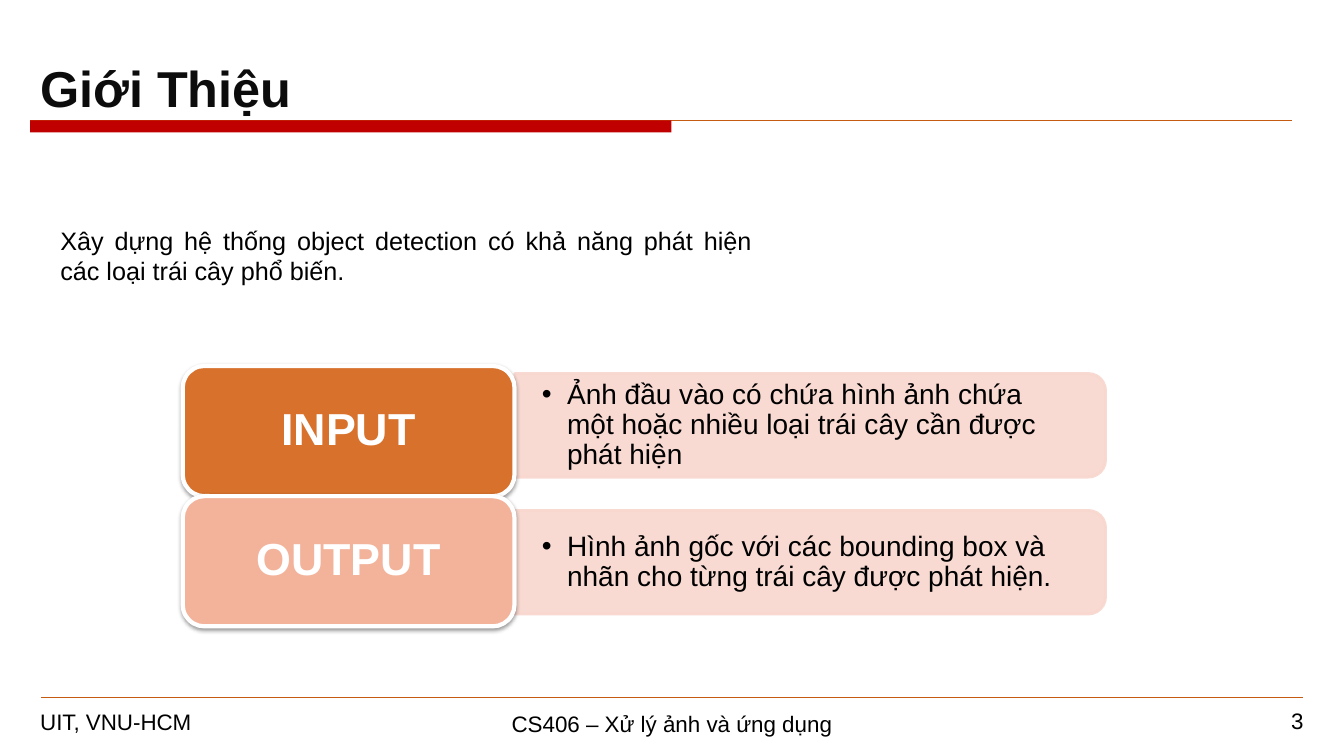
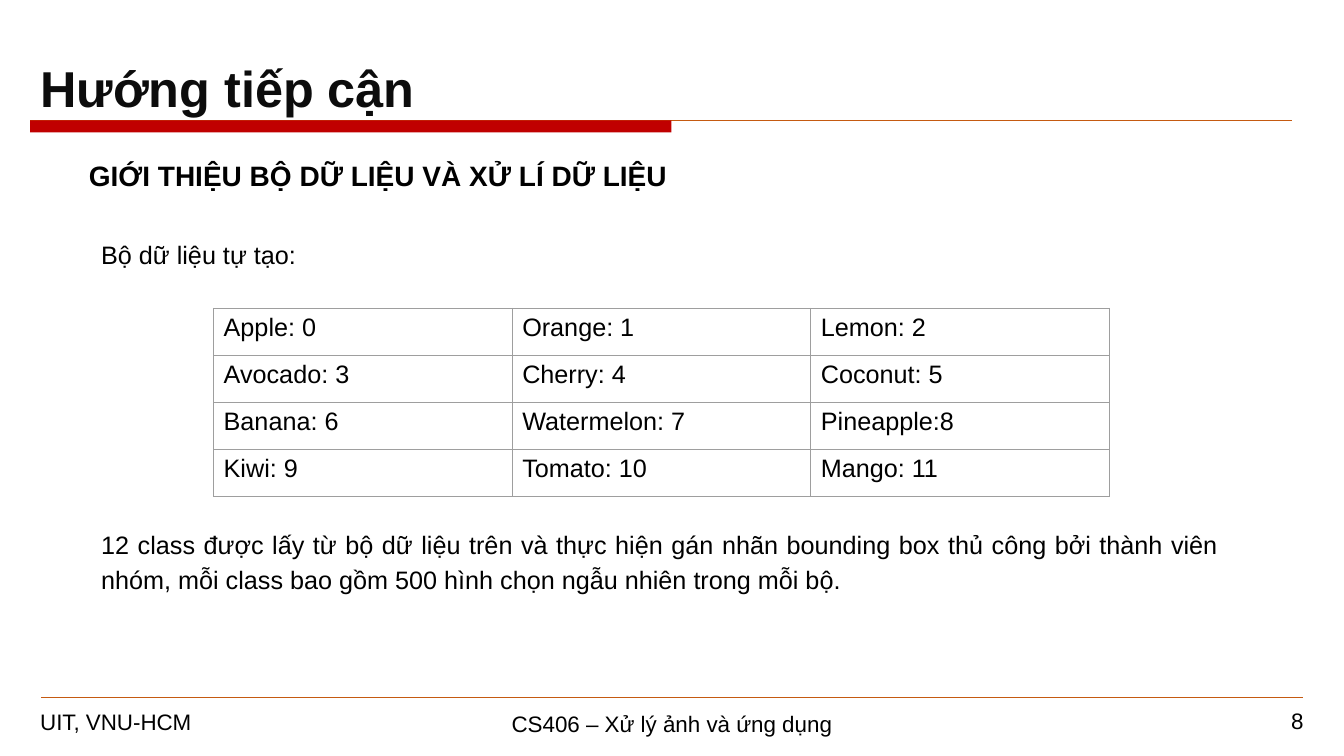
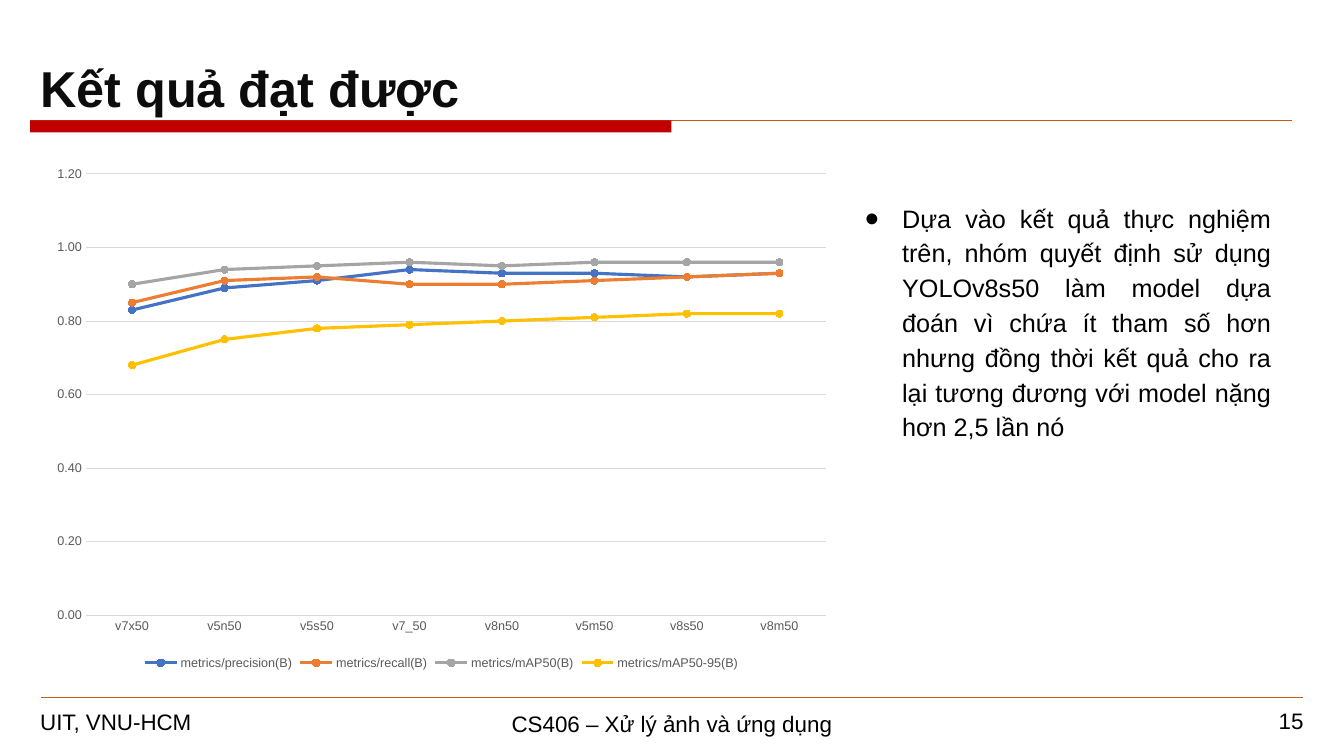
from lxml import etree
from pptx import Presentation
from pptx.chart.data import CategoryChartData
from pptx.dml.color import RGBColor
from pptx.enum.chart import XL_CHART_TYPE, XL_LEGEND_POSITION, XL_MARKER_STYLE, XL_TICK_MARK
from pptx.enum.shapes import MSO_CONNECTOR, MSO_SHAPE
from pptx.enum.text import MSO_ANCHOR, MSO_AUTO_SIZE, PP_ALIGN
from pptx.oxml.ns import qn
from pptx.util import Pt

LEFT, CENTER, RIGHT, JUSTIFY = PP_ALIGN.LEFT, PP_ALIGN.CENTER, PP_ALIGN.RIGHT, PP_ALIGN.JUSTIFY
TOP, MIDDLE = MSO_ANCHOR.TOP, MSO_ANCHOR.MIDDLE
NO_TICK = XL_TICK_MARK.NONE

FONT = "Arial"
BLACK = RGBColor(0x00, 0x00, 0x00)
WHITE = RGBColor(0xFF, 0xFF, 0xFF)
TITLE_INK = RGBColor(0x0C, 0x0C, 0x0C)
RED = RGBColor(0xC0, 0x00, 0x00)
RULE = RGBColor(0xC5, 0x5A, 0x11)
ORANGE = RGBColor(0xD7, 0x71, 0x2C)
SALMON = RGBColor(0xF3, 0xB3, 0x9B)
PALE = RGBColor(0xF8, 0xD7, 0xCE)
CELL_BORDER = RGBColor(0x9E, 0x9E, 0x9E)
AXIS_INK = RGBColor(0x59, 0x59, 0x59)
GRID = RGBColor(0xD9, 0xD9, 0xD9)
SERIES_COLORS = [
    RGBColor(0x44, 0x72, 0xC4),
    RGBColor(0xED, 0x7D, 0x31),
    RGBColor(0xA5, 0xA5, 0xA5),
    RGBColor(0xFF, 0xC0, 0x00),
]

TITLE_AND_CONTENT, TITLE_ONLY = 1, 5
SIDE_INSET = 7.2
EVEN_INSETS = (SIDE_INSET, 7.2)

CLASS_ROWS = [
    ["Apple: 0", "Orange: 1", "Lemon: 2"],
    ["Avocado: 3", "Cherry: 4", "Coconut: 5"],
    ["Banana: 6", "Watermelon: 7", "Pineapple:8"],
    ["Kiwi: 9", "Tomato: 10", "Mango: 11"],
]
MODELS = ["v7x50", "v5n50", "v5s50", "v7_50", "v8n50", "v5m50", "v8s50", "v8m50"]
METRICS = {
    "metrics/precision(B)": [0.83, 0.89, 0.91, 0.94, 0.93, 0.93, 0.92, 0.93],
    "metrics/recall(B)": [0.85, 0.91, 0.92, 0.9, 0.9, 0.91, 0.92, 0.93],
    "metrics/mAP50(B)": [0.9, 0.94, 0.95, 0.96, 0.95, 0.96, 0.96, 0.96],
    "metrics/mAP50-95(B)": [0.68, 0.75, 0.78, 0.79, 0.8, 0.81, 0.82, 0.82],
}


def points(*lengths):
    return [Pt(length) for length in lengths]


def add_element(parent, tag, **attributes):
    element = etree.SubElement(parent, qn(tag))
    for name, value in attributes.items():
        element.set(name, str(value))
    return element


def set_bullet(paragraph, character, margin, hanging):
    properties = paragraph._p.get_or_add_pPr()
    properties.set("marL", str(Pt(margin)))
    properties.set("indent", str(Pt(-hanging)))
    color = add_element(properties, "a:buClr")
    add_element(color, "a:srgbClr", val=BLACK)
    add_element(properties, "a:buFont", typeface=FONT)
    add_element(properties, "a:buChar", char=character)


def write(shape, text, size, color=BLACK, bold=False, align=LEFT, spacing=1.0,
          anchor=TOP, insets=(SIDE_INSET, 3.6), bullet=None):
    """Fill a shape with one paragraph; bullet is (character, margin, hanging)."""
    frame = shape.text_frame
    frame.word_wrap = True
    frame.auto_size = MSO_AUTO_SIZE.NONE
    frame.vertical_anchor = anchor
    frame.margin_left = frame.margin_right = Pt(insets[0])
    frame.margin_top = frame.margin_bottom = Pt(insets[1])
    paragraph = frame.paragraphs[0]
    if bullet:
        set_bullet(paragraph, *bullet)
    paragraph.alignment = align
    paragraph.line_spacing = spacing
    paragraph.space_before = Pt(0)
    run = paragraph.add_run()
    run.text = text
    set_font(run.font, size, color, bold)


def set_font(font, size, color, bold=False):
    font.name = FONT
    font.size = Pt(size)
    font.bold = bold
    font.color.rgb = color


def add_text(slide, box, text, size, **style):
    write(slide.shapes.add_textbox(*points(*box)), text, size, **style)


def add_rule(slide, left, top, width):
    ends = points(left, top, left + width, top)
    rule = slide.shapes.add_connector(MSO_CONNECTOR.STRAIGHT, *ends)
    rule.line.color.rgb = RULE
    rule.line.width = Pt(0.75)
    add_element(rule._element.spPr, "a:effectLst")


def add_filled(slide, preset, box, fill, line=None, line_width=0):
    shape = slide.shapes.add_shape(preset, *points(*box))
    shape.shadow.inherit = False
    shape.fill.solid()
    shape.fill.fore_color.rgb = fill
    if line is None:
        shape.line.fill.background()
    else:
        shape.line.color.rgb = line
        shape.line.width = Pt(line_width)
    return shape


def add_slide(presentation, layout, title, number):
    """Add a slide with the shared title, title bar, rules and footer."""
    slide = presentation.slides.add_slide(presentation.slide_layouts[layout])
    heading = slide.shapes.title
    heading.left, heading.top, heading.width, heading.height = points(21.6, 37.4, 900, 51)
    write(heading, title, 36, color=TITLE_INK, bold=True)
    add_rule(slide, 21.6, 86, 901.4)
    add_filled(slide, MSO_SHAPE.RECTANGLE, (21.6, 86, 458, 8.6), RED)
    add_rule(slide, 29.5, 498.2, 901.4)
    add_text(slide, (21.6, 502.5, 156, 29), "UIT, VNU-HCM", 16)
    add_text(slide, (278, 502.5, 404, 29), "CS406 – Xử lý ảnh và ứng dụng", 16,
             align=CENTER, anchor=MIDDLE)
    add_text(slide, (895.7, 500.4, 42.5, 29), str(number), 16, align=RIGHT, anchor=MIDDLE)
    return slide


def add_band(slide, middle, text):
    """Add a pale band, rounded at its right end, with a bulleted text on it."""
    left, length, thickness = 367.7, 422, 74
    turned_box = (left + (length - thickness) / 2, middle - length / 2, thickness, length)
    band = add_filled(slide, MSO_SHAPE.ROUND_2_SAME_RECTANGLE, turned_box, PALE, PALE, 2)
    band.rotation = 90
    for color in band._element.spPr.iter(qn("a:srgbClr")):
        add_element(color, "a:alpha", val=90000)
    add_text(slide, (left, middle - 33.5, 418, 67), text, 20, spacing=0.9,
             anchor=MIDDLE, insets=(19.4, 10), bullet=("•", 18, 18))


def add_key(slide, top, text, fill):
    """Add a rounded, softly shadowed box with a large label."""
    key = add_filled(slide, MSO_SHAPE.ROUNDED_RECTANGLE, (130.5, top, 237, 93), fill, WHITE, 3)
    effects = key._element.spPr.find(qn("a:effectLst"))
    shadow = add_element(effects, "a:outerShdw", blurRad=Pt(3.1), dist=Pt(1.6),
                         dir=5400000, rotWithShape=0)
    color = add_element(shadow, "a:srgbClr", val=BLACK)
    add_element(color, "a:alpha", val=38000)
    write(key, text, 32, color=WHITE, bold=True, align=CENTER, spacing=0.9, anchor=MIDDLE)


def set_cell_borders(cell):
    properties = cell._tc.get_or_add_tcPr()
    for position, side in enumerate(["a:lnL", "a:lnR", "a:lnT", "a:lnB"]):
        line = etree.Element(qn(side), w=str(Pt(0.75)))
        fill = add_element(line, "a:solidFill")
        add_element(fill, "a:srgbClr", val=CELL_BORDER)
        properties.insert(position, line)


def add_class_table(slide, left, top, column_width, row_height, rows):
    row_count, column_count = len(rows), len(rows[0])
    box = points(left, top, column_width * column_count, row_height * row_count)
    table = slide.shapes.add_table(row_count, column_count, *box).table
    table.first_row = table.horz_banding = False
    for column in table.columns:
        column.width = Pt(column_width)
    for row, texts in zip(table.rows, rows):
        row.height = Pt(row_height)
        for cell, text in zip(row.cells, texts):
            cell.fill.background()
            set_cell_borders(cell)
            run = cell.text_frame.paragraphs[0].add_run()
            run.text = text
            set_font(run.font, 18, BLACK)


def style_line(line, color, width):
    line.color.rgb = color
    line.width = Pt(width)


def add_metrics_chart(slide, box):
    data = CategoryChartData(number_format="0.00")
    data.categories = MODELS
    for name, values in METRICS.items():
        data.add_series(name, values)
    chart = slide.shapes.add_chart(XL_CHART_TYPE.LINE_MARKERS, *points(*box), data).chart
    chart.has_title = False
    set_font(chart.font, 10, BLACK)
    chart.has_legend = True
    chart.legend.position = XL_LEGEND_POSITION.BOTTOM
    chart.legend.include_in_layout = False
    set_font(chart.legend.font, 9, AXIS_INK)

    value_axis, category_axis = chart.value_axis, chart.category_axis
    for axis in (value_axis, category_axis):
        axis.major_tick_mark = axis.minor_tick_mark = NO_TICK
        set_font(axis.tick_labels.font, 9, AXIS_INK)
    style_line(category_axis.format.line, GRID, 0.75)
    value_axis.format.line.fill.background()
    value_axis.minimum_scale, value_axis.maximum_scale = 0, 1.2
    value_axis.major_unit = 0.2
    value_axis.tick_labels.number_format = "0.00"
    value_axis.tick_labels.number_format_is_linked = False
    style_line(value_axis.major_gridlines.format.line, GRID, 0.75)

    plot = chart.plots[0]
    plot.vary_by_categories = False
    for series, color in zip(plot.series, SERIES_COLORS):
        series.smooth = False
        style_line(series.format.line, color, 2.25)
        marker = series.marker
        marker.style = XL_MARKER_STYLE.CIRCLE
        marker.size = 5
        marker.format.fill.solid()
        marker.format.fill.fore_color.rgb = color
        marker.format.line.color.rgb = color


def build_introduction(presentation):
    slide = add_slide(presentation, TITLE_ONLY, "Giới Thiệu", 3)
    add_text(slide, (36, 153.4, 508.3, 80),
             "Xây dựng hệ thống object detection có khả năng phát hiện các loại "
             "trái cây phổ biến.", 18, align=JUSTIFY, insets=EVEN_INSETS)
    add_band(slide, 303.8, "Ảnh đầu vào có chứa hình ảnh chứa một hoặc nhiều loại "
                           "trái cây cần được phát hiện")
    add_key(slide, 261.4, "INPUT", ORANGE)
    add_band(slide, 401.6, "Hình ảnh gốc với các bounding box và nhãn cho từng "
                           "trái cây được phát hiện.")
    add_key(slide, 354.4, "OUTPUT", SALMON)


def build_data_set(presentation):
    slide = add_slide(presentation, TITLE_ONLY, "Hướng tiếp cận", 8)
    add_text(slide, (56.4, 105.8, 637, 39), "GIỚI THIỆU BỘ DỮ LIỆU VÀ XỬ LÍ DỮ LIỆU", 20,
             bold=True, align=JUSTIFY, insets=EVEN_INSETS)
    body_style = {"align": JUSTIFY, "spacing": 1.15, "insets": EVEN_INSETS}
    add_text(slide, (65.2, 160.6, 812, 40), "Bộ dữ liệu tự tạo:", 18, **body_style)
    add_class_table(slide, 152.6, 220.3, 213.3, 33.6, CLASS_ROWS)
    add_text(slide, (65.2, 368, 812, 65),
             "12 class được lấy từ bộ dữ liệu trên và thực hiện gán nhãn bounding box "
             "thủ công bởi thành viên nhóm, mỗi class bao gồm 500 hình chọn ngẫu nhiên "
             "trong mỗi bộ.", 18, **body_style)


def build_results(presentation):
    slide = add_slide(presentation, TITLE_AND_CONTENT, "Kết quả đạt được", 15)
    add_metrics_chart(slide, (29.5, 111.6, 571.7, 370))
    body = slide.placeholders[1]
    body.left, body.top, body.width, body.height = points(601.2, 134.6, 314, 190)
    write(body,
          "Dựa vào kết quả thực nghiệm trên, nhóm quyết định sử dụng YOLOv8s50 làm "
          "model dựa đoán vì chứa ít tham số hơn nhưng đồng thời kết quả cho ra lại "
          "tương đương với model nặng hơn 2,5 lần nó", 18, align=JUSTIFY, spacing=1.15,
          insets=EVEN_INSETS, bullet=("●", 36, 27))


def main():
    presentation = Presentation()
    presentation.slide_width, presentation.slide_height = points(960, 540)
    build_introduction(presentation)
    build_data_set(presentation)
    build_results(presentation)
    presentation.save("out.pptx")


if __name__ == "__main__":
    main()
